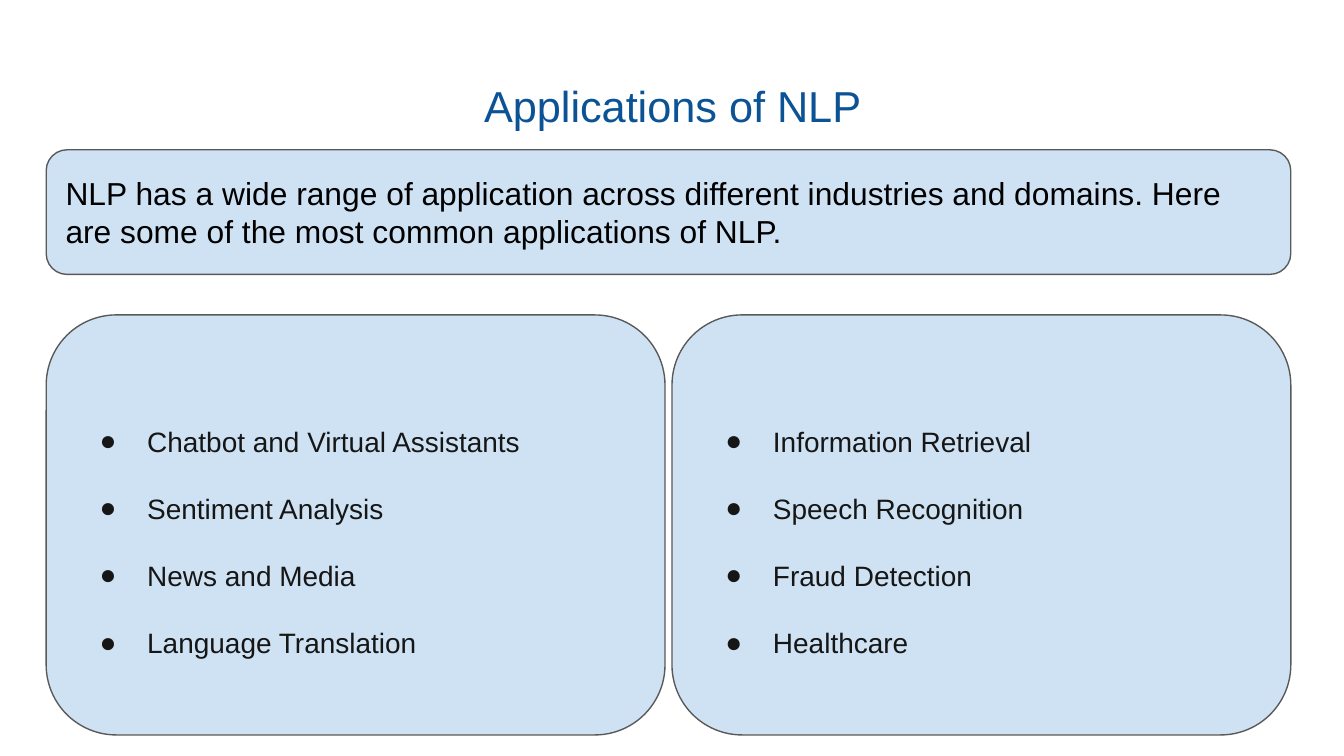
from lxml.etree import SubElement
from pptx import Presentation
from pptx.dml.color import RGBColor
from pptx.enum.shapes import MSO_SHAPE
from pptx.enum.text import MSO_ANCHOR, PP_ALIGN
from pptx.oxml.ns import qn
from pptx.util import Emu, Pt

PX = 9525  # 96 px to the inch
FONT = "Arial"
BLUE, PALE, GREY, BLACK, INK = "0B5394", "CFE2F3", "595959", "000000", "161616"

LEFT, WIDTH, GAP = 33, 889, 5
INSET = Pt(7.2)
INTRO = ("NLP has a wide range of application across different industries and "
         "domains. Here are some of the most common applications of NLP.")
COLUMNS = [
    ["Chatbot and Virtual Assistants", "Sentiment Analysis",
     "News and Media", "Language Translation"],
    ["Information Retrieval", "Speech Recognition",
     "Fraud Detection", "Healthcare"],
]


def px(n):
    return Emu(n * PX)


def color(value):
    return RGBColor.from_string(value)


def format_frame(tf, anchor):
    frame_format = {
        "word_wrap": True, "vertical_anchor": anchor,
        "margin_left": INSET, "margin_right": INSET,
        "margin_top": INSET, "margin_bottom": INSET,
    }
    for name, value in frame_format.items():
        setattr(tf, name, value)


def write(p, text, size, ink, align=PP_ALIGN.LEFT):
    p.alignment = align
    r = p.add_run()
    r.text = text
    for name, value in {"name": FONT, "size": Pt(size), "bold": False}.items():
        setattr(r.font, name, value)
    r.font.color.rgb = color(ink)


def add_bullet(p):
    pPr = p._p.get_or_add_pPr()
    pPr.set("marL", str(px(48)))
    pPr.set("indent", str(px(-34)))
    bullet_color = SubElement(pPr, qn("a:buClr"))
    SubElement(bullet_color, qn("a:srgbClr"), val=INK)
    SubElement(pPr, qn("a:buFont"), typeface=FONT)
    SubElement(pPr, qn("a:buChar"), char="●")


def add_panel(s, box):
    sp = s.shapes.add_shape(MSO_SHAPE.ROUNDED_RECTANGLE, *map(px, box))
    sp.adjustments[0] = 0.167
    sp.shadow.inherit = False
    sp.fill.solid()
    sp.fill.fore_color.rgb = color(PALE)
    sp.line.color.rgb = color(GREY)
    sp.line.width = Pt(0.75)
    format_frame(sp.text_frame, MSO_ANCHOR.MIDDLE)
    return sp.text_frame


def place_title(s, box, text):
    sp = s.shapes.title
    for name, value in zip(("left", "top", "width", "height"), box):
        setattr(sp, name, px(value))
    tf = sp.text_frame
    format_frame(tf, MSO_ANCHOR.TOP)
    write(tf.paragraphs[0], text, 23.2, BLUE, PP_ALIGN.CENTER)


def add_intro(s, box, text):
    tf = add_panel(s, box)
    write(tf.paragraphs[0], text, 17, BLACK)


def add_columns(s, box, columns):
    left, top, width, height = box
    column_width = (width - GAP * (len(columns) - 1)) // len(columns)
    for i, items in enumerate(columns):
        x = left + i * (column_width + GAP)
        tf = add_panel(s, (x, top, column_width, height))
        for j, item in enumerate(items):
            p = tf.add_paragraph() if j else tf.paragraphs[0]
            p.line_spacing = 2.0
            add_bullet(p)
            write(p, item, 15, INK)


def main():
    prs = Presentation()
    prs.slide_width, prs.slide_height = px(960), px(540)
    s = prs.slides.add_slide(prs.slide_layouts[5])  # title only

    # Heading, introduction, then the two lists side by side
    place_title(s, (LEFT, 47, 895, 60), "Applications of NLP")
    add_intro(s, (LEFT, 107, WIDTH, 89), INTRO)
    add_columns(s, (LEFT, 225, WIDTH, 300), COLUMNS)

    prs.save("out.pptx")


if __name__ == "__main__":
    main()
